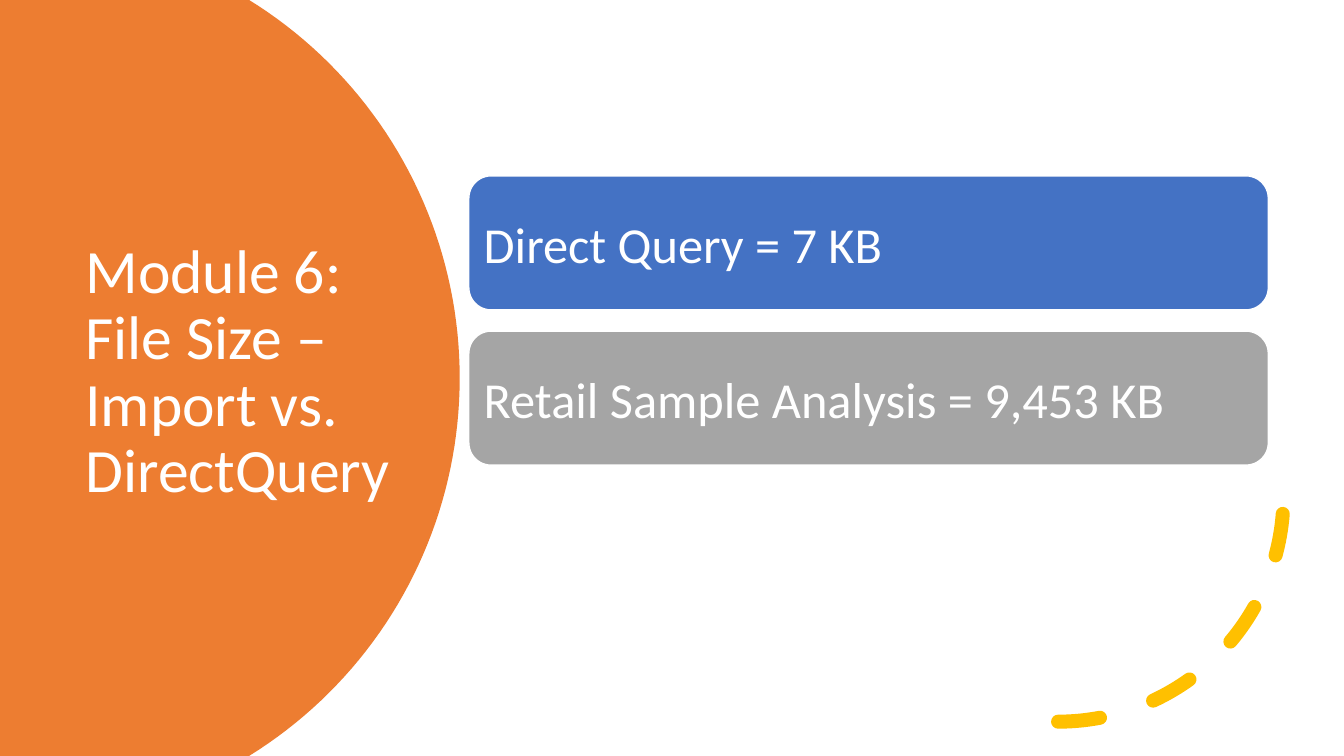
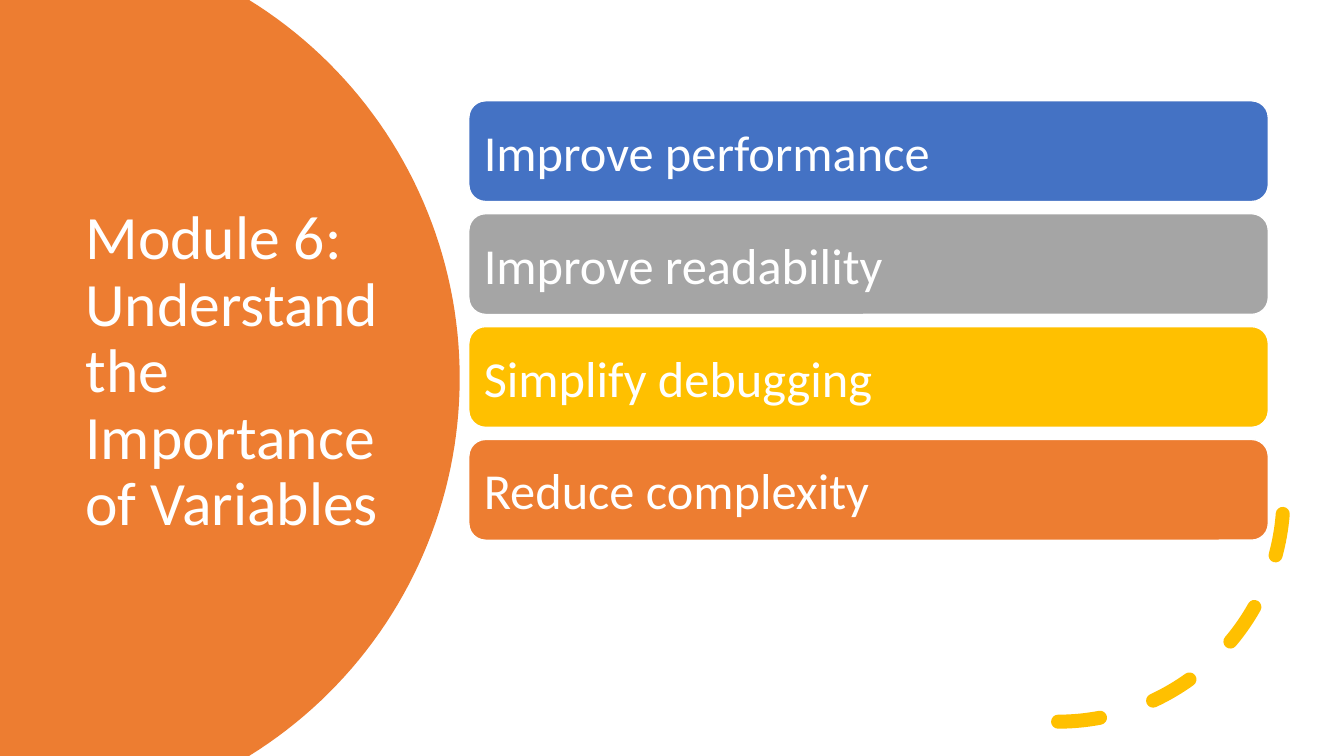
from math import asin, cos, sin

from pptx import Presentation
from pptx.dml.color import RGBColor
from pptx.enum.dml import MSO_LINE
from pptx.enum.shapes import MSO_SHAPE
from pptx.enum.text import MSO_ANCHOR, PP_ALIGN
from pptx.util import Inches, Pt

ORANGE = RGBColor(0xED, 0x7D, 0x31)
BLUE = RGBColor(0x44, 0x72, 0xC4)
GRAY = RGBColor(0xA5, 0xA5, 0xA5)
GOLD = RGBColor(0xFF, 0xC0, 0x00)
WHITE = RGBColor(0xFF, 0xFF, 0xFF)
BAR_COLORS = (BLUE, GRAY, GOLD, ORANGE)

FONT = "Calibri"
ARC, ROUND_RECT = MSO_SHAPE.ARC, MSO_SHAPE.ROUNDED_RECTANGLE
DASH = MSO_LINE.DASH
MIDDLE, LEFT = MSO_ANCHOR.MIDDLE, PP_ALIGN.LEFT

SLIDE_W, SLIDE_H = 13.33, 7.5
DISC_X, DISC_R = 0.15, 4.41  # centre and radius of the cropped disc
BAR_X, BAR_W, BARS_MIDDLE = 4.65, 7.93, 3.18
BAR_INSET = 0.15
CORNER_INSET = 0.05  # share of a bar's height its round corners add to the inset


class Deck:
    """Holds the shared style and the slide being built."""

    def __init__(self):
        self.prs = Presentation()
        self.prs.slide_width = Inches(SLIDE_W)
        self.prs.slide_height = Inches(SLIDE_H)
        self.s = None

    def add_slide(self, title, bars, bar_h, gap):
        self.s = self.prs.slides.add_slide(self.prs.slide_layouts[6])
        self.disc()
        self.title(title)
        self.dashed_arc()
        self.bars(bars, bar_h, gap)

    def set_text(self, tf, text, size):
        tf.word_wrap = True
        tf.vertical_anchor = MIDDLE
        p = tf.paragraphs[0]
        p.text = text
        p.alignment = LEFT
        p.font.name = FONT
        p.font.size = Pt(size)
        p.font.color.rgb = WHITE
        return p

    def disc(self):
        # Part of a circle cut off by the slide's left, top and bottom edges
        half = SLIDE_H / 2
        limit, steps = asin(half / DISC_R), 80
        angles = [limit * (2 * i / steps - 1) for i in range(steps + 1)]
        points = [(Inches(DISC_X + DISC_R * cos(a)), Inches(half + DISC_R * sin(a)))
                  for a in angles]
        outline = self.s.shapes.build_freeform(0, 0)
        outline.add_line_segments(points + [(0, Inches(SLIDE_H))], close=True)
        sp = outline.convert_to_shape()
        sp.shadow.inherit = False
        sp.fill.solid()
        sp.fill.fore_color.rgb = ORANGE
        sp.line.fill.background()

    def title(self, text):
        box = self.s.shapes.add_textbox(Inches(0.75), Inches(1.26), Inches(3.5), Inches(4.88))
        self.set_text(box.text_frame, text, 44).line_spacing = 0.9

    def dashed_arc(self):
        sp = self.s.shapes.add_shape(ARC, Inches(8.26), Inches(2.69), Inches(4.47), Inches(4.47))
        sp.shadow.inherit = False
        sp.fill.background()
        sp.line.color.rgb = GOLD
        sp.line.width = Pt(10)
        sp.line.dash_style = DASH
        # Round caps and a vertical flip
        sp.element.spPr.ln.set("cap", "rnd")
        sp.element.spPr.xfrm.set("flipV", "1")

    def bars(self, texts, height, gap):
        # Stack centred on BARS_MIDDLE
        pitch = height + gap
        top = BARS_MIDDLE - (len(texts) * pitch - gap) / 2
        for i, (text, color) in enumerate(zip(texts, BAR_COLORS)):
            self.bar(text, color, top + i * pitch, height)

    def bar(self, text, color, top, height):
        sp = self.s.shapes.add_shape(ROUND_RECT, Inches(BAR_X), Inches(top),
                                     Inches(BAR_W), Inches(height))
        sp.shadow.inherit = False
        sp.fill.solid()
        sp.fill.fore_color.rgb = color
        sp.line.color.rgb = WHITE
        sp.line.width = Pt(1)
        tf = sp.text_frame
        inset = Inches(BAR_INSET - CORNER_INSET * height)
        tf.margin_left = tf.margin_right = tf.margin_top = tf.margin_bottom = inset
        self.set_text(tf, text, 36)


def main():
    deck = Deck()

    # Slide 1: file sizes
    deck.add_slide("Module 6: File Size – Import vs. DirectQuery",
                   ["Direct Query = 7 KB", "Retail Sample Analysis = 9,453 KB"],
                   bar_h=1.33, gap=0.21)

    # Slide 2: variables
    deck.add_slide("Module 6: Understand the Importance of Variables",
                   ["Improve performance", "Improve readability",
                    "Simplify debugging", "Reduce complexity"],
                   bar_h=1, gap=0.12)

    deck.prs.save("out.pptx")


if __name__ == "__main__":
    main()
